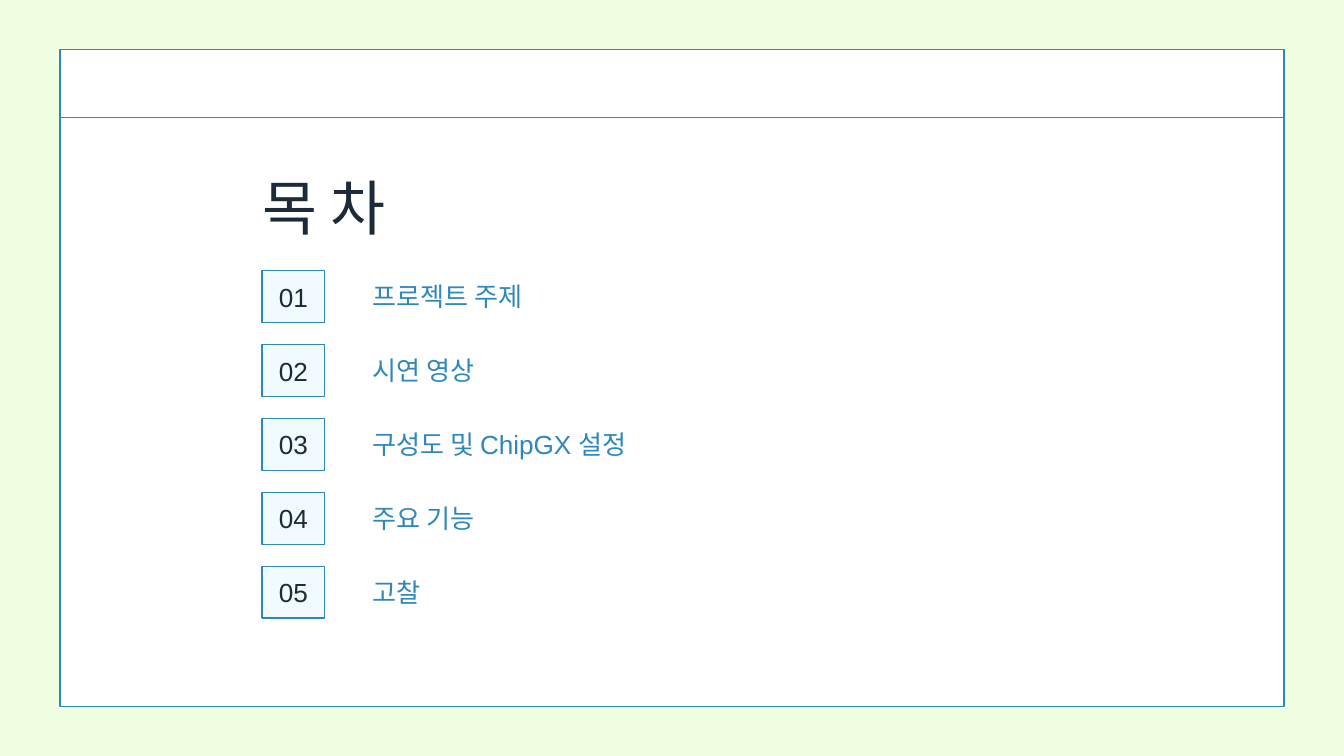
import pptx
import pptx.util
import pptx.dml.color
import pptx.enum.shapes
import pptx.enum.text
import pptx.oxml
import pptx.oxml.ns

RGBColor = pptx.dml.color.RGBColor
SHAPE = pptx.enum.shapes.MSO_SHAPE
ALIGN = pptx.enum.text.PP_ALIGN
ANCHOR = pptx.enum.text.MSO_ANCHOR
Pt = pptx.util.Pt

PALE_GREEN = RGBColor(0xF0, 0xFF, 0xE1)
WHITE = RGBColor(0xFF, 0xFF, 0xFF)
PALE_BLUE = RGBColor(0xF1, 0xFA, 0xFF)
BLUE = RGBColor(0x30, 0x87, 0xBB)
NAVY = RGBColor(0x1D, 0x2A, 0x3A)

prs = pptx.Presentation()
prs.slide_width = pptx.util.Inches(20)
prs.slide_height = pptx.util.Inches(11.25)

# Grid: 20 columns across, 11.25 rows down, square cells
COL = prs.slide_width / 20
ROW = prs.slide_height / 11.25


def panel(left, top, width, height, fill):
    sp = s.shapes.add_shape(SHAPE.RECTANGLE, int(left * COL), int(top * ROW),
                            int(width * COL), int(height * ROW))
    sp.shadow.inherit = False
    sp.fill.solid()
    sp.fill.fore_color.rgb = fill
    sp.line.color.rgb = BLUE
    sp.line.width = Pt(1.5)
    return sp


def write(sp, text, size, leading, color, align, anchor):
    tf = sp.text_frame
    tf.word_wrap = True
    tf.auto_size = pptx.enum.text.MSO_AUTO_SIZE.NONE
    tf.margin_left = tf.margin_right = tf.margin_top = tf.margin_bottom = 0
    tf.vertical_anchor = anchor
    p = tf.paragraphs[0]
    p.alignment = align
    p.line_spacing = Pt(leading)
    r = p.add_run()
    r.text = text
    r.font.name = "Arial"
    r.font.size = Pt(size)
    r.font.color.rgb = color


# Background
s = prs.slides.add_slide(prs.slide_layouts[5])
s.background.fill.solid()
s.background.fill.fore_color.rgb = PALE_GREEN

# Framed page with a header rule
LEFT, RIGHT, TOP, RULE = 0.89, 19.11, 0.74, 1.75
panel(LEFT, TOP, RIGHT - LEFT, 9.77, WHITE)
rule = s.shapes.add_connector(pptx.enum.shapes.MSO_CONNECTOR.STRAIGHT,
                              int(LEFT * COL), int(RULE * ROW),
                              int(RIGHT * COL), int(RULE * ROW))
rule.line.color.rgb = BLUE
rule.line.width = Pt(1.5)
spPr = rule._element.spPr
spPr.append(pptx.oxml.parse_xml(
    "<a:effectLst %s/>" % pptx.oxml.ns.nsdecls("a")))

# Title, brought in front of the page
title = s.shapes.title
title.left, title.top = int(1.76 * COL), int(2.37 * ROW)
title.width, title.height = int(6.13 * COL), int(1.26 * ROW)
write(title, "목 차", 64, 89.6, NAVY, ALIGN.CENTER, ANCHOR.TOP)
s.shapes._spTree.append(title._element)

# Contents: a numbered box and a label on each line
items = ["프로젝트 주제", "시연 영상", "구성도 및 ChipGX 설정", "주요 기능", "고찰"]
for i, item in enumerate(items):
    top = 4.03 + 1.1 * i
    box = panel(3.9, top, 0.93, 0.77, PALE_BLUE)
    write(box, f"{i + 1:02d}", 28, 33.6, NAVY, ALIGN.CENTER, ANCHOR.MIDDLE)
    label = s.shapes.add_textbox(int(5.54 * COL), int((top + 0.14) * ROW),
                                 int(5 * COL), int(0.48 * ROW))
    write(label, item, 28, 33.6, BLUE, ALIGN.LEFT, ANCHOR.TOP)

prs.save("out.pptx")
